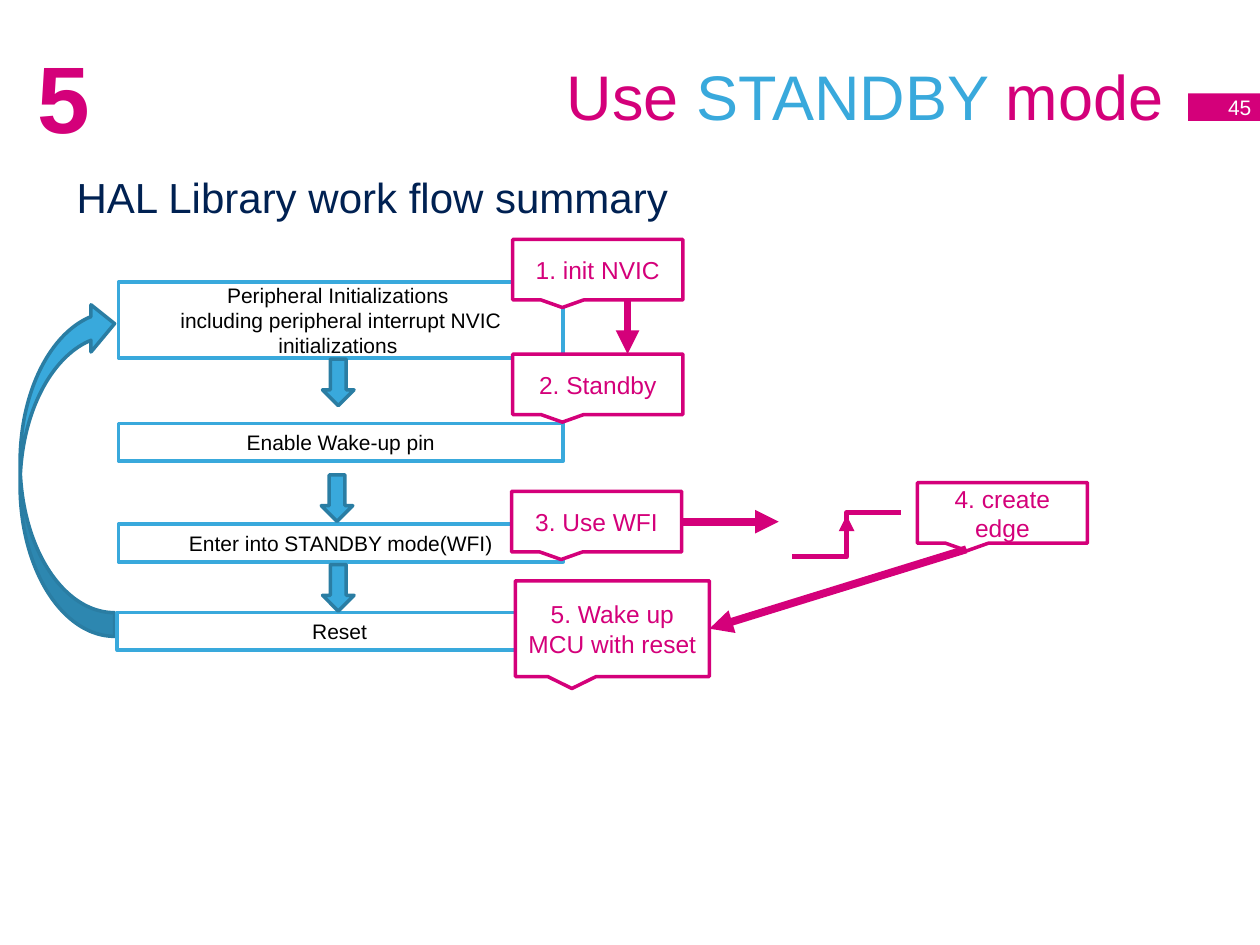
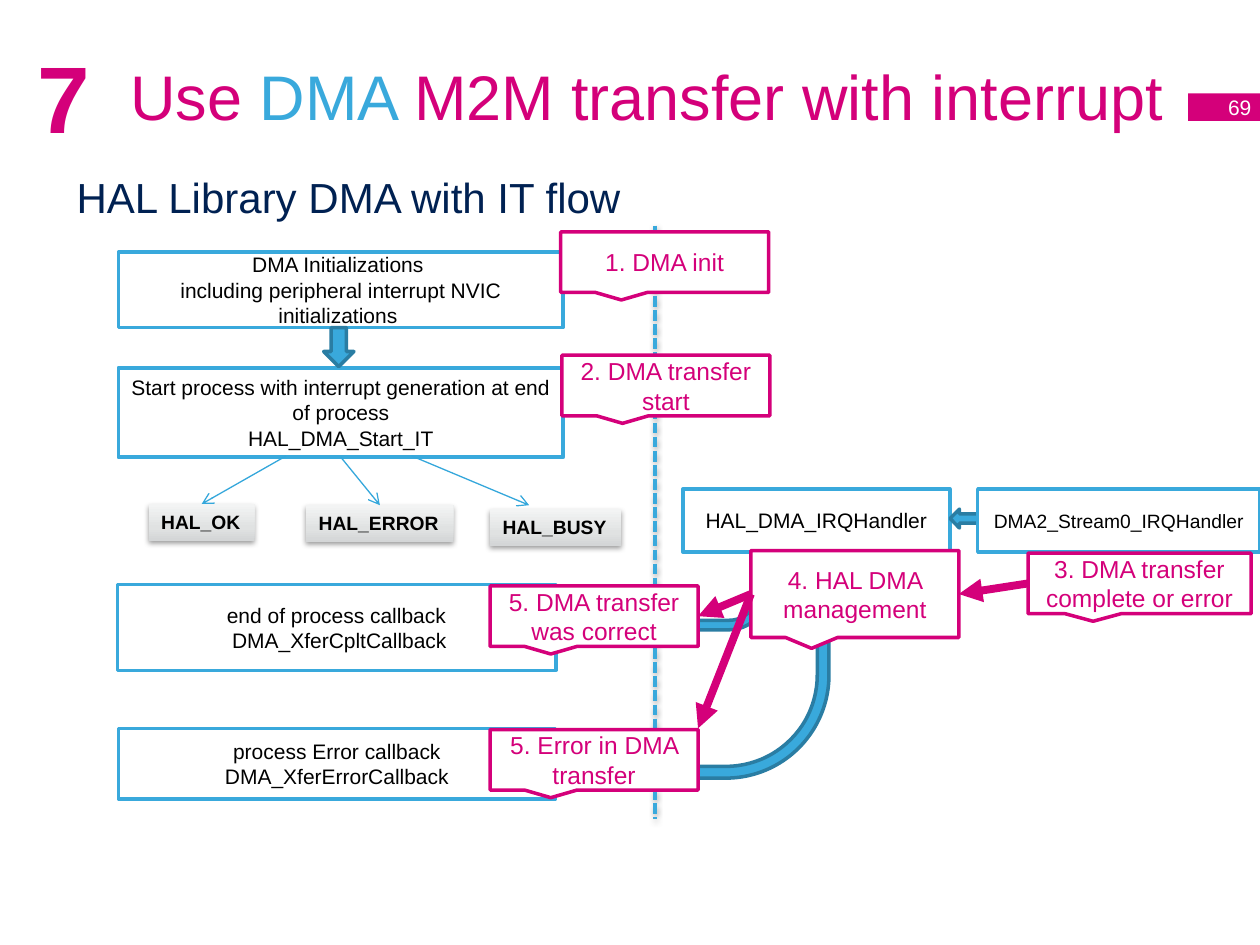
from copy import deepcopy

from lxml.etree import SubElement
from pptx import Presentation
from pptx.dml.color import RGBColor
from pptx.enum.dml import MSO_LINE
from pptx.enum.shapes import MSO_CONNECTOR, MSO_SHAPE
from pptx.enum.text import MSO_ANCHOR, PP_ALIGN
from pptx.oxml.ns import qn
from pptx.util import Pt

MAGENTA = RGBColor(0xD4, 0x00, 0x7A)
SKY = RGBColor(0x39, 0xA9, 0xDC)
THIN_SKY = RGBColor(0x34, 0xA7, 0xDB)
DEEP_SKY = RGBColor(0x2A, 0x7D, 0xA3)
NAVY = RGBColor(0x00, 0x21, 0x52)
BLACK = RGBColor(0x00, 0x00, 0x00)
WHITE = RGBColor(0xFF, 0xFF, 0xFF)
GREY_DARK = RGBColor(0xD4, 0xD6, 0xD7)
GREY_MIDDLE = RGBColor(0xE0, 0xE2, 0xE2)
GREY_LIGHT = RGBColor(0xF3, 0xF4, 0xF4)

FONT = "Arial"
TOP, LEFT, BOTTOM, RIGHT = range(4)
STEP_LEFT, STEP_WIDTH = 67.7, 254.2


def write_text(shape, text, size, color, align=PP_ALIGN.LEFT, bold=False,
               anchor=MSO_ANCHOR.MIDDLE, wrap=True, spacing=0):
    """Fill a shape; text is a string or a list of (text, color) runs."""
    frame = shape.text_frame
    frame.word_wrap = wrap
    frame.vertical_anchor = anchor
    if isinstance(text, str):
        lines = [[(line, color)] for line in text.split("\n")]
    else:
        lines = [text]
    for index, runs in enumerate(lines):
        paragraph = frame.add_paragraph() if index else frame.paragraphs[0]
        paragraph.alignment = align
        paragraph.space_before = paragraph.space_after = Pt(spacing)
        for words, run_color in runs:
            run = paragraph.add_run()
            run.text = words
            run.font.name = FONT
            run.font.size = Pt(size)
            run.font.bold = bold
            run.font.color.rgb = run_color


def add_shadow(effects):
    shadow = SubElement(effects, qn("a:outerShdw"), blurRad=str(Pt(3.1)),
                        dist=str(Pt(1.6)), dir="5400000", rotWithShape="0")
    color = SubElement(shadow, qn("a:srgbClr"), val=str(BLACK))
    SubElement(color, qn("a:alpha"), val="38000")


class FlowDeck:
    """Shared style of the deck, drawing on its current slide."""

    def __init__(self):
        self.presentation = Presentation()
        self.presentation.slide_width = Pt(720)
        self.presentation.slide_height = Pt(540)
        self.slide = None

    def start_slide(self, chapter, page, title, heading):
        layout = self.presentation.slide_layouts[6]
        self.slide = self.presentation.slides.add_slide(layout)
        self.label((36, 9.4, 635.8, 90), title, size=36, color=MAGENTA,
                   align=PP_ALIGN.RIGHT)
        self.label((36.7, 94.3, 648, 77.8), heading, size=24, color=NAVY,
                   anchor=MSO_ANCHOR.TOP, spacing=6)
        band = self.block(MSO_SHAPE.RECTANGLE, (679, 53.3, 43.2, 15.8), MAGENTA)
        write_text(band, page, 12, WHITE, align=PP_ALIGN.RIGHT, wrap=False)
        self.label((14.4, 9.4, 58.3, 90), chapter, size=54, color=MAGENTA,
                   bold=True)

    def label(self, bounds, text, **style):
        box = self.slide.shapes.add_textbox(*map(Pt, bounds))
        write_text(box, text, **style)

    def block(self, kind, bounds, fill, line=None, rotation=0, adjustments=()):
        shape = self.slide.shapes.add_shape(kind, *map(Pt, bounds))
        shape.shadow.inherit = False
        shape.fill.solid()
        shape.fill.fore_color.rgb = fill
        shape.rotation = rotation
        for index, value in enumerate(adjustments):
            shape.adjustments[index] = value
        if line is None:
            shape.line.fill.background()
        else:
            shape.line.color.rgb = line
            shape.line.width = Pt(2)
            SubElement(shape.line._get_or_add_ln(), qn("a:round"))
        return shape

    def step(self, top, height, text, left=STEP_LEFT, width=STEP_WIDTH, size=12):
        shape = self.block(MSO_SHAPE.RECTANGLE, (left, top, width, height),
                           WHITE, SKY)
        write_text(shape, text, size, BLACK, align=PP_ALIGN.CENTER)
        return shape

    def callout(self, left, top, text, width, height=34.6):
        shape = self.block(MSO_SHAPE.RECTANGULAR_CALLOUT,
                           (left, top, width, height), WHITE, MAGENTA)
        write_text(shape, text, 14, MAGENTA, align=PP_ALIGN.CENTER)
        return shape

    def block_arrow(self, kind, bounds, **options):
        return self.block(kind, bounds, SKY, DEEP_SKY, **options)

    def status(self, left, top, width, text):
        shape = self.block(MSO_SHAPE.RECTANGLE, (left, top, width, 20.9),
                           GREY_DARK)
        shape.fill.gradient()
        shape.fill.gradient_angle = 90
        first, last = shape.fill.gradient_stops
        first.color.rgb, first.position = GREY_MIDDLE, 0.35
        last.color.rgb, last.position = GREY_LIGHT, 1
        stops = shape._element.spPr.find(".//" + qn("a:gsLst"))
        stops.insert(0, deepcopy(stops[0]))
        first = shape.fill.gradient_stops[0]
        first.color.rgb, first.position = GREY_DARK, 0
        add_shadow(shape._element.spPr.find(qn("a:effectLst")))
        write_text(shape, text, 11, BLACK, bold=True, wrap=False,
                   anchor=MSO_ANCHOR.TOP)
        return shape

    def connector(self, start, end, color=MAGENTA, width=4.5, head="triangle",
                  kind=MSO_CONNECTOR.STRAIGHT, dash=None, shadow=False):
        """Draw a line; each end is an (x, y) point or a (shape, side) joint."""
        joints = [isinstance(place[0], (int, float)) for place in (start, end)]
        start_point = start if joints[0] else (0, 0)
        end_point = end if joints[1] else (0, 0)
        line = self.slide.shapes.add_connector(
            kind, *map(Pt, (*start_point, *end_point)))
        if not joints[0]:
            line.begin_connect(*start)
        if not joints[1]:
            line.end_connect(*end)
        line.line.color.rgb = color
        line.line.width = Pt(width)
        if dash:
            line.line.dash_style = dash
        if head:
            SubElement(line.line._get_or_add_ln(), qn("a:tailEnd"), type=head)
        effects = SubElement(line._element.spPr, qn("a:effectLst"))
        if shadow:
            add_shadow(effects)


def build_standby_slide(deck):
    deck.start_slide("5", "45", [("Use", MAGENTA), (" STANDBY ", SKY),
                                 ("mode", MAGENTA)],
                     "HAL Library work flow summary")
    loop = deck.block_arrow(MSO_SHAPE.CURVED_UP_ARROW,
                            (-57.6, 240.5, 192.2, 54), rotation=90)
    loop._element.spPr.xfrm.set("flipH", "1")

    deck.step(241.9, 21.6, "Enable Wake-up pin")
    deck.step(161.3, 43.2, "Peripheral Initializations \n"
              "including peripheral interrupt NVIC initializations ")
    deck.step(299.5, 21.6, "Enter into STANDBY mode(WFI)")
    deck.step(349.9, 21.6, "Reset", left=67)
    for left, top in ((184.3, 205.2), (183.6, 271.4), (184.3, 322.6)):
        deck.block_arrow(MSO_SHAPE.DOWN_ARROW, (left, top, 18, 26.6))

    deck.callout(293, 202.3, "2. Standby", 97.2)
    deck.callout(293, 136.8, "1. init NVIC", 97.2)
    deck.callout(524.2, 275.8, "4. create edge", 97.2)
    use_wfi = deck.callout(292.3, 280.8, "3. Use WFI", 97.2)
    wake_up = deck.callout(294.5, 331.9, "5. Wake up MCU with reset", 110.9, 54.7)

    deck.connector((514.8, 293), (452.9, 318.2), width=3, head=None,
                   kind=MSO_CONNECTOR.ELBOW)
    deck.connector((483.8, 312.5), (483.8, 294.5), width=3)
    deck.connector((358.6, 172.1), (358.6, 202.3))
    deck.connector((use_wfi, RIGHT), (445, 298.1))
    deck.connector((552.2, 313.9), (wake_up, RIGHT))


def build_dma_slide(deck):
    deck.start_slide("7", "69", [("Use", MAGENTA), (" DMA ", SKY),
                                 ("M2M transfer with interrupt", MAGENTA)],
                     "HAL Library DMA with IT flow")
    start = deck.step(210.2, 51.1, "Start process with interrupt generation "
                      "at end of process\nHAL_DMA_Start_IT")
    deck.step(144, 43.2, "DMA Initializations \n"
              "including peripheral interrupt NVIC initializations ")
    deck.step(279.4, 36, "HAL_DMA_IRQHandler", left=390.2, width=152.6)
    deck.step(334.1, 49, "end of process callback\n DMA_XferCpltCallback",
              left=67, width=250.6)
    deck.block_arrow(MSO_SHAPE.DOWN_ARROW, (185, 187.2, 17.3, 22.3))
    deck.block_arrow(MSO_SHAPE.BENT_ARROW, (317.5, 315.4, 121, 49.7),
                     rotation=180, adjustments=(0.11, 0.16, 0.25, 0.44))
    deck.connector((374.4, 128.9), (374.4, 468), color=SKY, width=2, head=None,
                   dash=MSO_LINE.SQUARE_DOT, shadow=True)
    deck.block_arrow(MSO_SHAPE.LEFT_ARROW, (542.9, 290.9, 52.6, 10.8))
    deck.step(416.2, 40.3, "process Error callback\nDMA_XferErrorCallback",
              width=249.8)
    deck.block_arrow(MSO_SHAPE.BENT_ARROW, (317.5, 315.4, 156.2, 133.9),
                     rotation=180, adjustments=(0.05, 0.06, 0.09, 0.44))

    error = deck.status(175, 288.7, 84.2, "HAL_ERROR")
    success = deck.status(85, 288, 60.5, "HAL_OK")
    deck.status(280.1, 290.9, 74.9, "HAL_BUSY")
    for begin, end in (((start, BOTTOM), (error, TOP)),
                       ((163.4, 260.6), (success, TOP)),
                       ((235.4, 260.6), (302.4, 288.7))):
        deck.connector(begin, end, color=THIN_SKY, width=0.75, head="arrow")
    deck.step(279.4, 36, "DMA2_Stream0_IRQHandler", left=558.7, width=161.3,
              size=11)

    deck.callout(320.4, 132.5, "1. DMA init", 118.8)
    deck.callout(321.1, 203, "2. DMA transfer start", 118.8)
    complete = deck.callout(587.5, 316.1, "3. DMA transfer complete or error",
                            127.4)
    management = deck.callout(429.1, 314.6, "4. HAL DMA management", 118.8, 49.7)
    correct = deck.callout(280.1, 334.8, "5. DMA transfer was correct", 118.8)
    deck.callout(280.1, 416.9, "5. Error in DMA transfer", 118.8)
    deck.connector((complete, LEFT), (management, RIGHT))
    deck.connector((management, LEFT), (correct, RIGHT))
    deck.connector((management, LEFT), (398.9, 416.2))


def main():
    deck = FlowDeck()
    build_standby_slide(deck)
    build_dma_slide(deck)
    deck.presentation.save("out.pptx")


if __name__ == "__main__":
    main()
